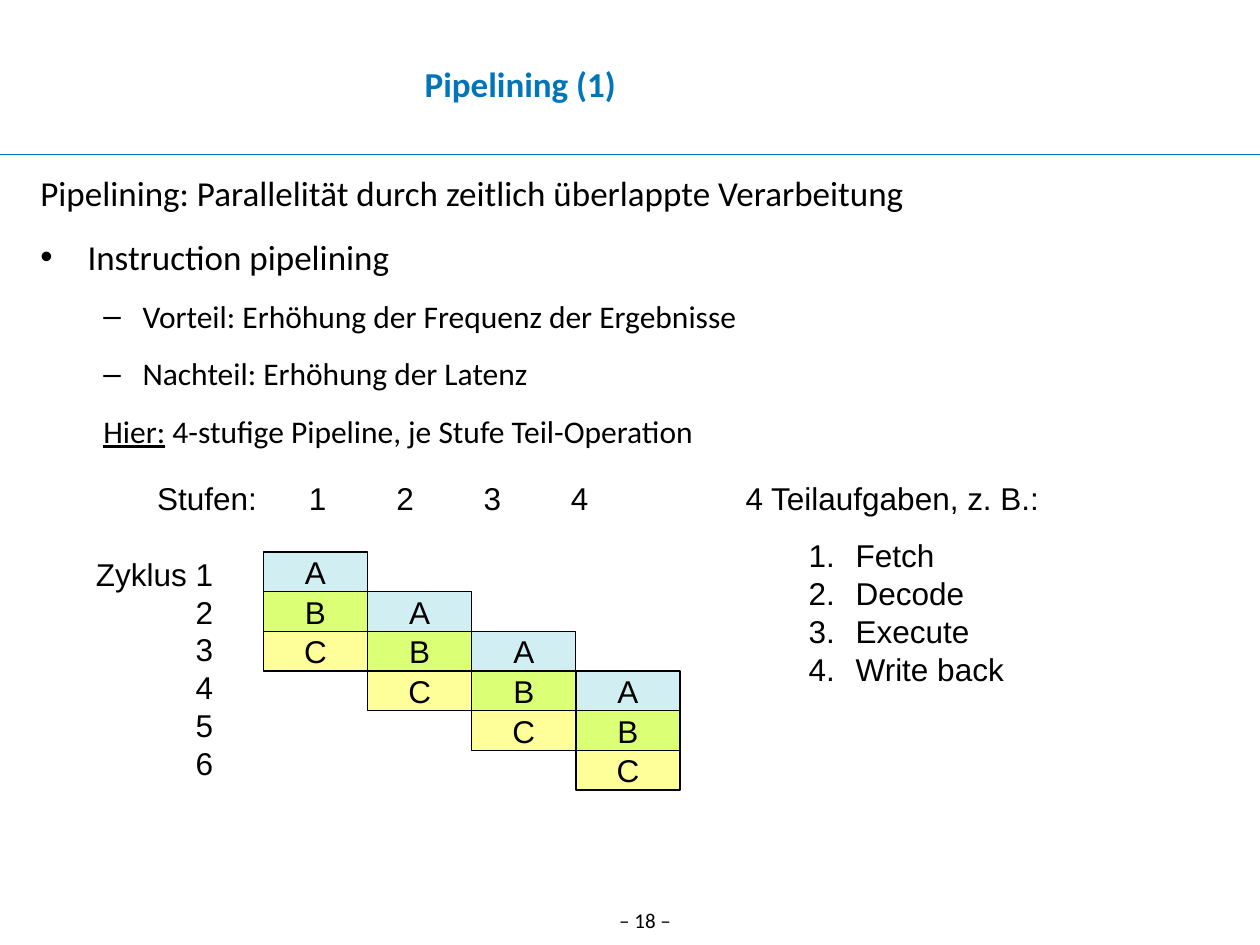
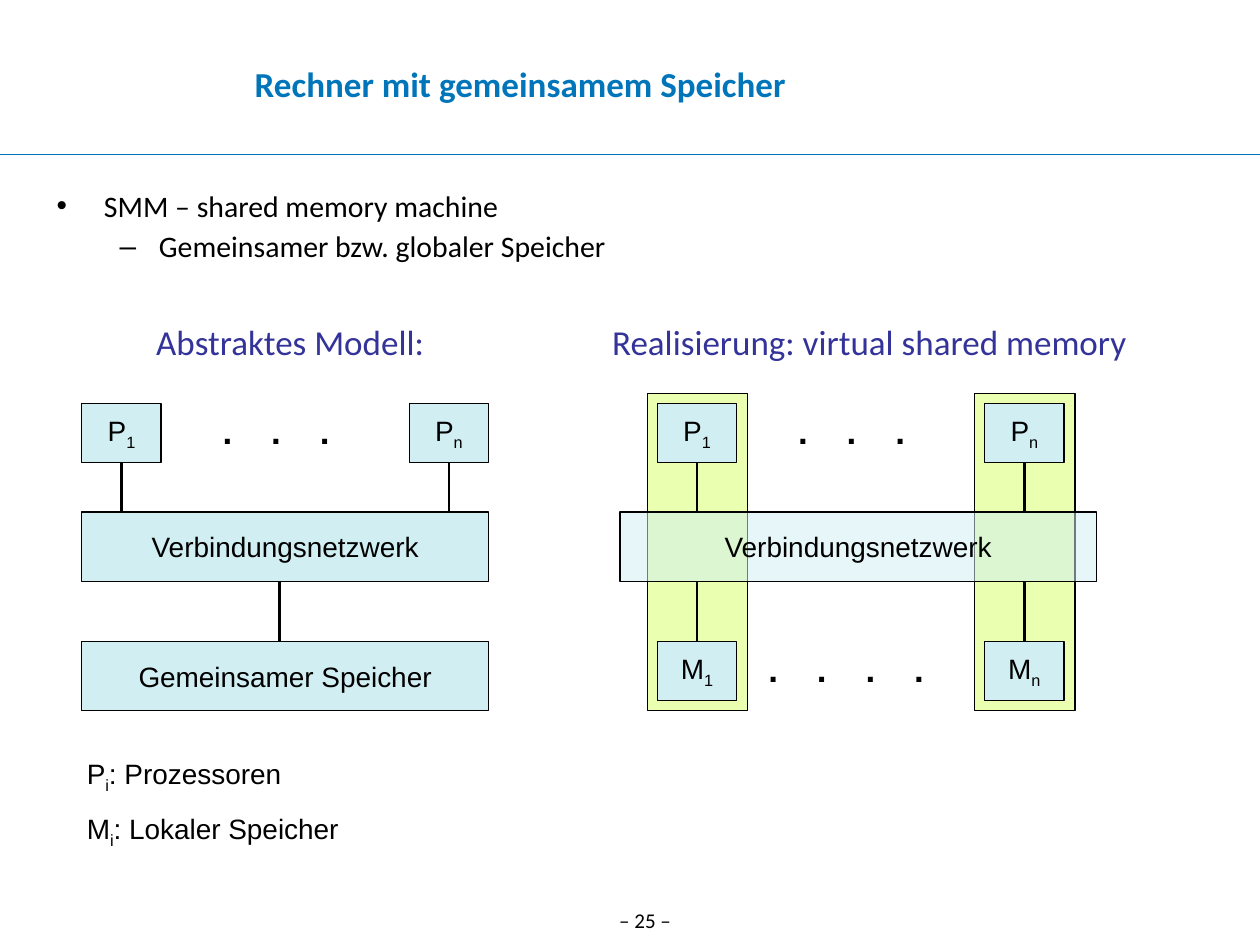
from dataclasses import dataclass
from lxml import etree
from pptx import Presentation
from pptx.dml.color import RGBColor
from pptx.enum.shapes import MSO_CONNECTOR, MSO_SHAPE
from pptx.enum.text import MSO_ANCHOR, MSO_AUTO_SIZE, PP_ALIGN
from pptx.oxml.ns import qn
from pptx.util import Cm, Pt

RECT, LINE = MSO_SHAPE.RECTANGLE, MSO_CONNECTOR.STRAIGHT
MIDDLE, FIXED = MSO_ANCHOR.MIDDLE, MSO_AUTO_SIZE.NONE
LEFT, RIGHT, CENTER = PP_ALIGN.LEFT, PP_ALIGN.RIGHT, PP_ALIGN.CENTER


@dataclass(frozen=True)
class Theme:
    head: str = "Calibri"
    plain: str = "Arial"
    ink: str = "000000"
    blue: str = "0075BA"
    navy: str = "333399"
    aqua: str = "D1EFF3"
    lime: str = "DBFF75"
    pale: str = "EAFFAF"
    cream: str = "FFFF99"
    big: float = 20
    mid: float = 18
    list: float = 17
    small: float = 16
    foot: float = 12
    thin: float = 0.75
    thick: float = 1.5


T = Theme()

# Content. A paragraph is (kind, runs); a run is text or (text, style).
PIPE = {
    "title": "Pipelining (1)",
    "page": 18,
    "body": [
        ("lead", ["Pipelining: Parallelität durch zeitlich überlappte Verarbeitung"]),
        ("dot", ["Instruction pipelining"]),
        ("dash", ["Vorteil: Erhöhung der Frequenz der Ergebnisse"]),
        ("dash", ["Nachteil: Erhöhung der Latenz"]),
        ("note", [("Hier:", "under"), " 4-stufige Pipeline, je Stufe Teil-Operation"]),
    ],
    "jobs": [("A", T.aqua), ("B", T.lime), ("C", T.cream)],
    "stages": 4,
    "tasks": [
        ("lead", ["4 Teilaufgaben, z. B.:"]),
        *[("num", [t]) for t in ("Fetch", "Decode", "Execute", "Write back")],
    ],
}
SHARED = {
    "title": "Rechner mit gemeinsamem Speicher",
    "page": 25,
    "body": [
        ("dot", ["SMM – shared memory machine"]),
        ("dash", ["Gemeinsamer bzw. globaler Speicher"]),
    ],
    "heads": [("Abstraktes Modell:", 2.9, 6.4),
              ("Realisierung: virtual shared memory", 12.09, 11.5)],
    "net": "Verbindungsnetzwerk",
    "store": "Gemeinsamer Speicher",
    "key": [
        ("plain", ["P", ("i", "sub"), ": Prozessoren"]),
        ("plain", ["M", ("i", "sub"), ": Lokaler Speicher"]),
    ],
}

# kind: level, left margin, first indent, bullet
KINDS = {
    "plain": (0, 0, 0, None),
    "lead": (0, 0.95, -0.95, None),
    "dot": (0, 0.95, -0.95, "•"),
    "dash": (1, 2.06, -0.79, "–"),
    "note": (1, 2.06, -0.79, None),
    "num": (1, 2.22, -0.95, "1."),
}

# style: run attribute and value
STYLES = {
    "under": ("u", "sng"),
    "sub": ("baseline", "-25000"),
    "wide": ("spc", "833"),
}


def child(node, tag, **attrs):
    return etree.SubElement(node, qn(tag), attrs)


def shape_par(par, kind):
    """Set level, indents and bullet of a paragraph."""
    level, margin, first, mark = KINDS[kind]
    par.level = level
    ppr = par._p.get_or_add_pPr()
    ppr.set("marL", str(Cm(margin)))
    ppr.set("indent", str(Cm(first)))
    if mark is None:
        child(ppr, "a:buNone")
        return
    child(ppr, "a:buFont", typeface=T.plain)
    if mark == "1.":
        child(ppr, "a:buAutoNum", type="arabicPeriod")
    else:
        child(ppr, "a:buChar", char=mark)


def write(frame, pars, size, font=T.plain, color=T.ink, bold=False, align=LEFT,
          gaps=None, sizes=None, spread=None):
    """Fill a frame; gaps and sizes hold one value per kind of paragraph."""
    frame.word_wrap, frame.auto_size = True, FIXED
    for i, (kind, runs) in enumerate(pars):
        par = frame.add_paragraph() if i else frame.paragraphs[0]
        shape_par(par, kind)
        par.alignment = align
        par.space_before = Pt((gaps or {}).get(kind, 0) if i else 0)
        if spread:
            par.line_spacing = spread
        for item in runs:
            text, style = (item, None) if isinstance(item, str) else item
            run = par.add_run()
            run.text = text
            run.font.name, run.font.bold = font, bold
            run.font.size = Pt((sizes or {}).get(kind, size))
            run.font.color.rgb = RGBColor.from_string(color)
            if style:
                run._r.get_or_add_rPr().set(*STYLES[style])


def place(shape, x, y, w, h):
    shape.left, shape.top, shape.width, shape.height = map(Cm, (x, y, w, h))


def trim(frame):
    """Centre the text of a frame upright and drop its insets."""
    frame.vertical_anchor = MIDDLE
    frame.margin_left = frame.margin_right = 0
    frame.margin_top = frame.margin_bottom = 0


def label(slide, x, y, w, h, pars, size, **look):
    frame = slide.shapes.add_textbox(*map(Cm, (x, y, w, h))).text_frame
    write(frame, pars, size, **look)
    return frame


def box(slide, x, y, w, h, fill, runs=(), size=T.small, alpha=None):
    rect = slide.shapes.add_shape(RECT, *map(Cm, (x, y, w, h)))
    rect.shadow.inherit = False
    rect.fill.solid()
    rect.fill.fore_color.rgb = RGBColor.from_string(fill)
    if alpha:
        tint = next(rect.element.spPr.iter(qn("a:srgbClr")))
        child(tint, "a:alpha", val=str(alpha * 1000))
    rect.line.color.rgb = RGBColor.from_string(T.ink)
    rect.line.width = Pt(T.thin)
    if runs:
        trim(rect.text_frame)
        write(rect.text_frame, [("plain", runs)], size, align=CENTER)


def rule(slide, x1, y1, x2, y2, color=T.ink, width=T.thick):
    line = slide.shapes.add_connector(LINE, *map(Cm, (x1, y1, x2, y2)))
    line.line.color.rgb = RGBColor.from_string(color)
    line.line.width = Pt(width)
    child(line.element.spPr, "a:effectLst")


def start(deck, data, area, **look):
    """Add a slide with title, rule, page number and body list."""
    slide = deck.slides.add_slide(deck.slide_layouts[1])
    rule(slide, 0, 3.12, 25.4, 3.12, T.blue, T.thin)
    title, body = slide.shapes.title, slide.placeholders[1]
    place(title, 0.51, 0.6, 19.96, 2.16)
    trim(title.text_frame)
    write(title.text_frame, [("plain", [data["title"]])], T.big, font=T.head,
          color=T.blue, bold=True, align=CENTER)
    place(body, *area)
    write(body.text_frame, data["body"], font=T.head, **look)
    label(slide, 11.9, 18.17, 2.21, 0.86, [("plain", [f"– {data['page']} –"])],
          T.foot, font=T.head, align=CENTER)
    return slide


def draw_pipe(deck):
    data, count = PIPE, PIPE["stages"]
    slide = start(deck, data, (0.56, 3.33, 24.8, 8), size=T.big,
                  gaps={"dot": 12.5, "dash": 11.2, "note": 11.2},
                  sizes={"dash": T.mid, "note": T.mid})
    left, top, wide, high = 5.31, 11.13, 2.1, 0.8
    for job, (name, fill) in enumerate(data["jobs"]):
        for stage in range(count):
            box(slide, left + stage * wide, top + (job + stage) * high,
                wide, high, fill, [name], T.mid)
    last = count + len(data["jobs"]) - 1
    rows = ["Zyklus 1", *map(str, range(2, last + 1))]
    label(slide, 1, 11.06, 3.55, 4.83, [("plain", [r]) for r in rows], T.mid,
          align=RIGHT)
    line = 9.53
    label(slide, 2.92, line, 2.8, 1.02, [("plain", ["Stufen:"])], T.mid)
    for stage in range(count):
        label(slide, 5.98 + 1.76 * stage, line, 1, 1.02,
              [("plain", [str(stage + 1)])], T.mid)
    frame = label(slide, 14.78, line, 8.41, 4.47, data["tasks"], T.mid)
    frame.paragraphs[0].space_after = Pt(11.2)


def dots(slide, x, y, count):
    label(slide, x, y, 4.4, 1.12, [("plain", [(" ".join("." * count), "wide")])],
          T.big, bold=True)


def draw_shared(deck):
    data = SHARED
    slide = start(deck, data, (0.89, 3.73, 24.5, 2.01), size=T.list,
                  gaps={"dash": 5}, spread=0.9)
    wide, high, tall, step = 2.02, 1.19, 1.4, 6.6
    unit = 1.6
    top, net, low = 8.13, 10.32, 12.93
    one, two = 1.65, 13.25

    def nodes(x, y, name):
        for i, sub in enumerate("1n"):
            box(slide, x + i * step, y, unit, high, T.aqua, [name, (sub, "sub")])

    def links(x, y1, y2):
        for i in range(2):
            mid = x + i * step + unit / 2
            rule(slide, mid, y1, mid, y2)

    for i in range(2):
        box(slide, two - 0.2 + i * step, top - 0.2, wide, 6.4, T.pale)
    for text, x, w in data["heads"]:
        label(slide, x, 6.33, w, 1.4, [("lead", [text])], T.big, font=T.head,
              color=T.navy)
    for x in (one, two):
        nodes(x, top, "P")
        links(x, top + high, net)
        dots(slide, x + 2.59, top, 3)
    span = step + unit
    box(slide, one, net, span, tall, T.aqua, [data["net"]])
    box(slide, one, low, span, tall, T.aqua, [data["store"]])
    rule(slide, 5.64, net + tall, 5.64, low)
    box(slide, 12.5, net, 9.6, tall, T.aqua, [data["net"]], alpha=52)
    nodes(two, low, "M")
    links(two, net + tall, low)
    dots(slide, 15.24, low, 4)
    label(slide, 1.5, 15.12, 8.6, 2.3, data["key"], T.small, gaps={"plain": 10})


def main():
    deck = Presentation()
    deck.slide_width, deck.slide_height = Cm(25.4), Cm(19.05)
    draw_pipe(deck)
    draw_shared(deck)
    deck.save("out.pptx")


if __name__ == "__main__":
    main()
